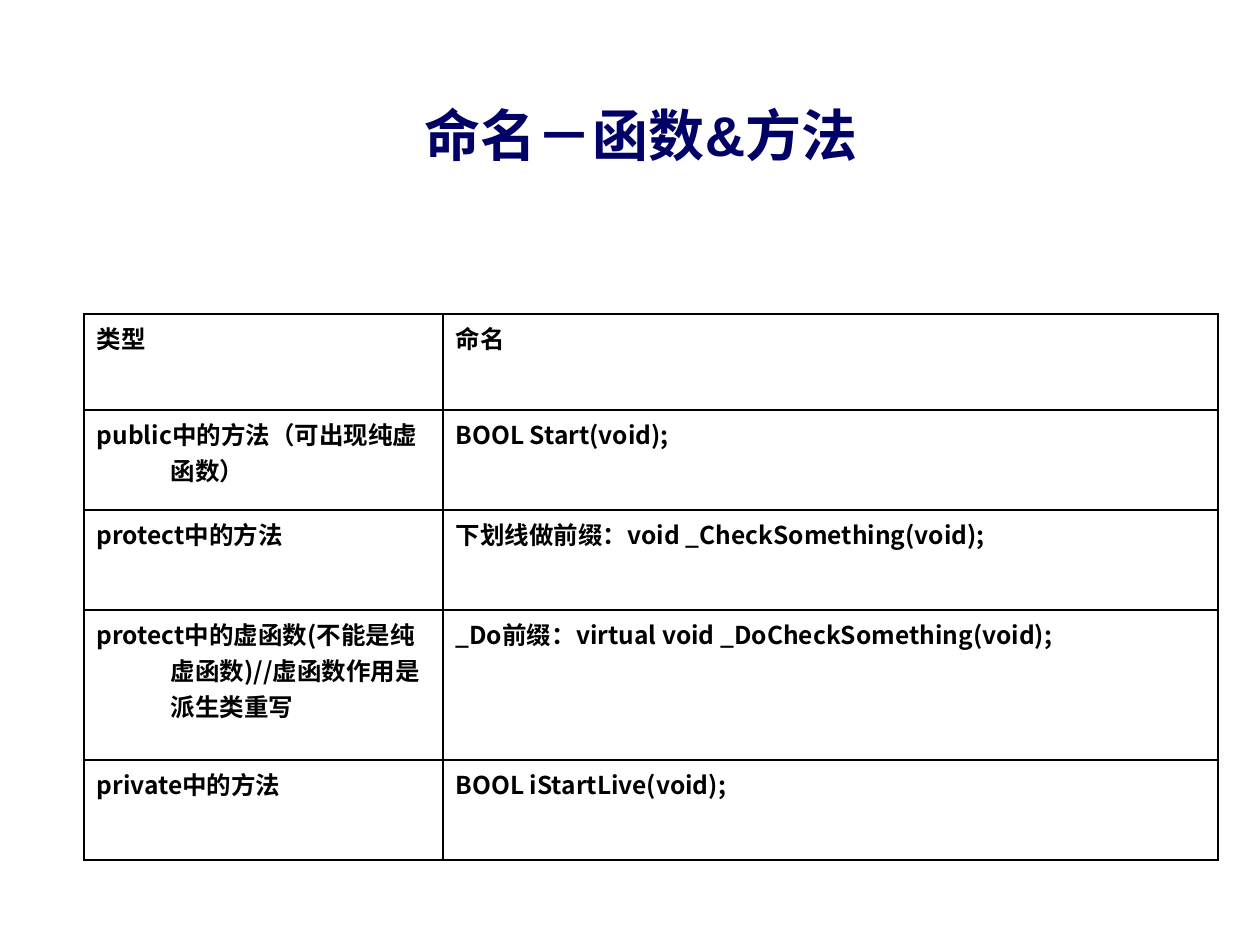
"""Build a slide with a table of naming rules for functions and methods."""
from lxml import etree
from pptx import Presentation
from pptx.dml.color import RGBColor
from pptx.enum.text import MSO_ANCHOR, PP_ALIGN
from pptx.oxml.ns import qn
from pptx.util import Pt

CENTER = PP_ALIGN.CENTER
MIDDLE = MSO_ANCHOR.MIDDLE
PX = 914400 // 126
SLIDE_SIZE = (1260, 945)
CJK_FONT = "Noto Sans CJK SC"
BLACK = "000000"

TITLE = "命名－函数&方法"
TITLE_BOX = (74, 55, 1134, 158)
TABLE_ORIGIN = (84, 314)
COLUMN_WIDTHS = (359, 775)
HANGING_INDENTS = (74, 48)
ROWS = [
    (96, "类型", "命名"),
    (100, "public中的方法（可出现纯虚函数）", "BOOL Start(void);"),
    (100, "protect中的方法", "下划线做前缀：void _CheckSomething(void);"),
    (150, "protect中的虚函数(不能是纯虚函数)//虚函数作用是派生类重写",
     "_Do前缀：virtual void _DoCheckSomething(void);"),
    (100, "private中的方法", "BOOL iStartLive(void);"),
]


def px(*lengths):
    return [length * PX for length in lengths]


def color(hex_string):
    return RGBColor.from_string(hex_string)


def style_text(para, size, font_name, hex_string):
    for span in para.runs:
        span.font.size = Pt(size)
        span.font.bold = True
        span.font.name = font_name
        span.font.color.rgb = color(hex_string)
        east_asian = etree.SubElement(span.font._element, qn("a:ea"))
        east_asian.set("typeface", CJK_FONT)


def add_borders(cell):
    properties = cell._tc.get_or_add_tcPr()
    for side in ("L", "R", "T", "B"):
        line = etree.SubElement(properties, qn(f"a:ln{side}"), w=str(Pt(1)))
        fill = etree.SubElement(line, qn("a:solidFill"))
        etree.SubElement(fill, qn("a:srgbClr"), val=BLACK)


def fill_cell(cell, text, indent):
    add_borders(cell)
    cell.fill.background()
    cell.text_frame.text = text
    para = cell.text_frame.paragraphs[0]
    properties = para._p.get_or_add_pPr()
    properties.set("marL", str(indent * PX))
    properties.set("indent", str(-indent * PX))
    style_text(para, 14, CJK_FONT, BLACK)


def add_title(page):
    frame = page.shapes.add_textbox(*px(*TITLE_BOX)).text_frame
    frame.word_wrap = True
    frame.vertical_anchor = MIDDLE
    frame.text = TITLE
    para = frame.paragraphs[0]
    para.alignment = CENTER
    style_text(para, 32, "Arial", "000066")


def add_naming_table(page):
    size = (sum(COLUMN_WIDTHS), sum(row[0] for row in ROWS))
    table = page.shapes.add_table(
        len(ROWS), len(COLUMN_WIDTHS), *px(*TABLE_ORIGIN, *size)).table
    table.first_row = False
    table.horz_banding = False
    for column, width in zip(table.columns, px(*COLUMN_WIDTHS)):
        column.width = width
    for row, (height, *texts) in zip(table.rows, ROWS):
        row.height = height * PX
        for cell, text, indent in zip(row.cells, texts, HANGING_INDENTS):
            fill_cell(cell, text, indent)


def main():
    deck = Presentation()
    deck.slide_width, deck.slide_height = px(*SLIDE_SIZE)
    page = deck.slides.add_slide(deck.slide_layouts[6])
    add_title(page)
    add_naming_table(page)
    deck.save("out.pptx")


if __name__ == "__main__":
    main()
